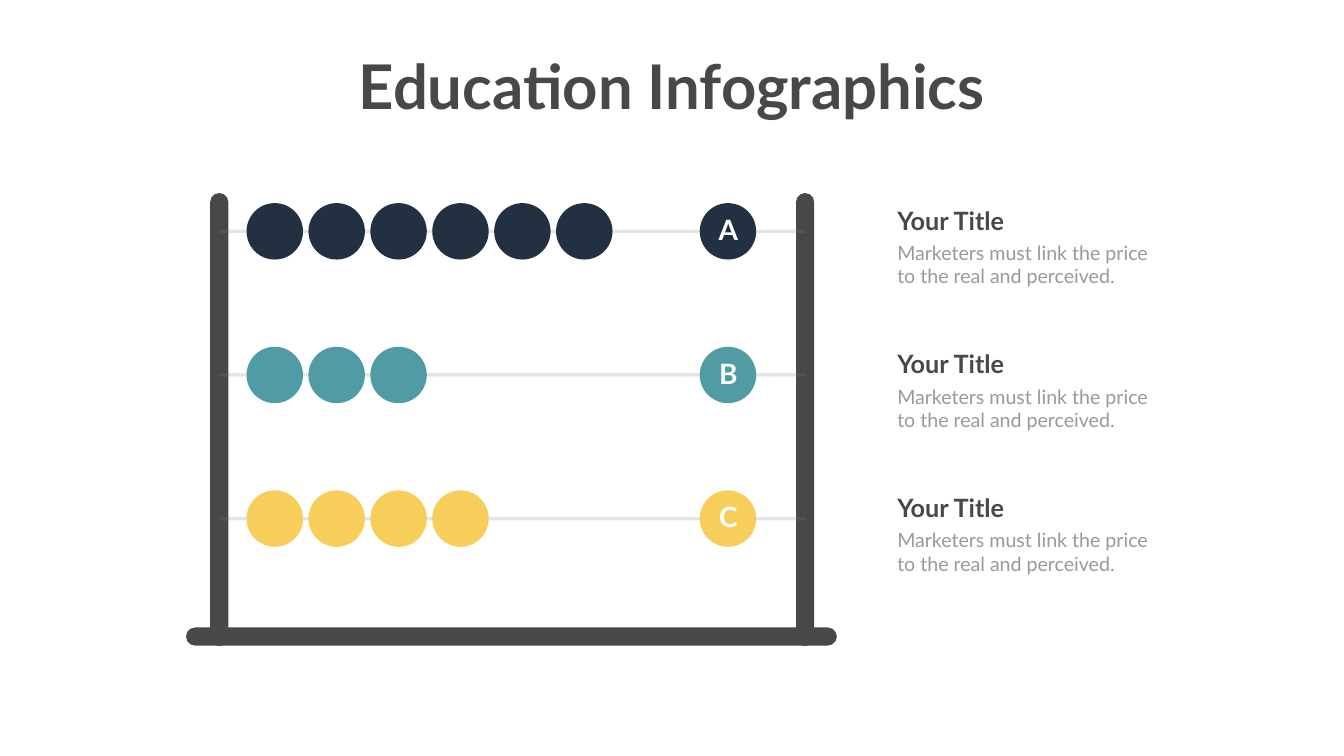
from lxml import etree
from pptx import Presentation
from pptx.dml.color import RGBColor
from pptx.enum import shapes, text
from pptx.oxml.ns import qn
from pptx.util import Inches, Pt

COLORS = {
    "frame": "484848", "rod": "808080", "body": "999999", "white": "FFFFFF",
    "navy": "223042", "teal": "509BA4", "yellow": "F8CE5A",
}
BEAD, PITCH = 1.12, 1.228
LEFT_POST, RIGHT_POST, BAR = 4.17, 15.79, 0.36

prs = Presentation()
prs.slide_width, prs.slide_height = Inches(26.66), Inches(15)
slide = prs.slides.add_slide(prs.slide_layouts[6])


def add_text(words, x, y, w, h, size, color, bold=False, center=False, wrap=True):
    frame = slide.shapes.add_textbox(Inches(x), Inches(y), Inches(w), Inches(h)).text_frame
    frame.word_wrap = wrap
    paragraph = frame.paragraphs[0]
    paragraph.alignment = text.PP_ALIGN.CENTER if center else text.PP_ALIGN.LEFT
    run = paragraph.add_run()
    run.text = words
    run.font.name, run.font.size, run.font.bold = "Lato", Pt(size), bold
    run.font.color.rgb = RGBColor.from_string(COLORS[color])


def add_solid(kind, x, y, w, h, color):
    solid = slide.shapes.add_shape(kind, Inches(x), Inches(y), Inches(w), Inches(h))
    solid.shadow.inherit = False
    solid.fill.solid()
    solid.fill.fore_color.rgb = RGBColor.from_string(COLORS[color])
    solid.line.fill.background()
    return solid


# Abacus frame: two posts and the base, with fully rounded ends
for x, y, w, h in [(LEFT_POST, 3.83, BAR, 8.99),
                   (RIGHT_POST, 3.83, BAR, 8.99),
                   (3.69, 12.45, 12.91, BAR)]:
    bar = add_solid(shapes.MSO_SHAPE.ROUNDED_RECTANGLE, x, y, w, h, "frame")
    bar.adjustments[0] = 0.5

# Rows: rod, counted beads, lettered bead and its caption
rows = [("A", 6, "navy"), ("B", 3, "teal"), ("C", 4, "yellow")]
for index, (letter, count, color) in enumerate(rows):
    middle = 4.59 + 2.85 * index

    rod = slide.shapes.add_connector(
        shapes.MSO_CONNECTOR.STRAIGHT,
        Inches(LEFT_POST + BAR / 2), Inches(middle),
        Inches(RIGHT_POST + BAR / 2), Inches(middle))
    rod.line.width = Pt(5)
    rod.line.color.rgb = RGBColor.from_string(COLORS["rod"])
    rod_color = rod.line.fill._xPr.find(".//" + qn("a:srgbClr"))
    etree.SubElement(rod_color, qn("a:alpha")).set("val", "20000")
    etree.SubElement(rod._element.spPr, qn("a:effectLst"))

    bead_lefts = [4.89 + PITCH * n for n in range(count)] + [13.88]
    for left in bead_lefts:
        add_solid(shapes.MSO_SHAPE.OVAL, left, middle - BEAD / 2, BEAD, BEAD, color)
    add_text(letter, 13.78, middle - 0.42, 1.34, 0.77,
             size=40, color="white", bold=True, center=True)

    add_text("Your Title", 17.7, middle - 0.57, 5.27, 0.71,
             size=36, color="frame", bold=True)
    add_text("Marketers must link the price to the real and perceived.",
             17.7, middle + 0.14, 5.27, 1.04, size=28, color="body")

# Slide title
add_text("Education Infographics", 6.88, 0.91, 12.89, 1.58,
         size=88, color="frame", bold=True, center=True, wrap=False)

prs.save("out.pptx")
